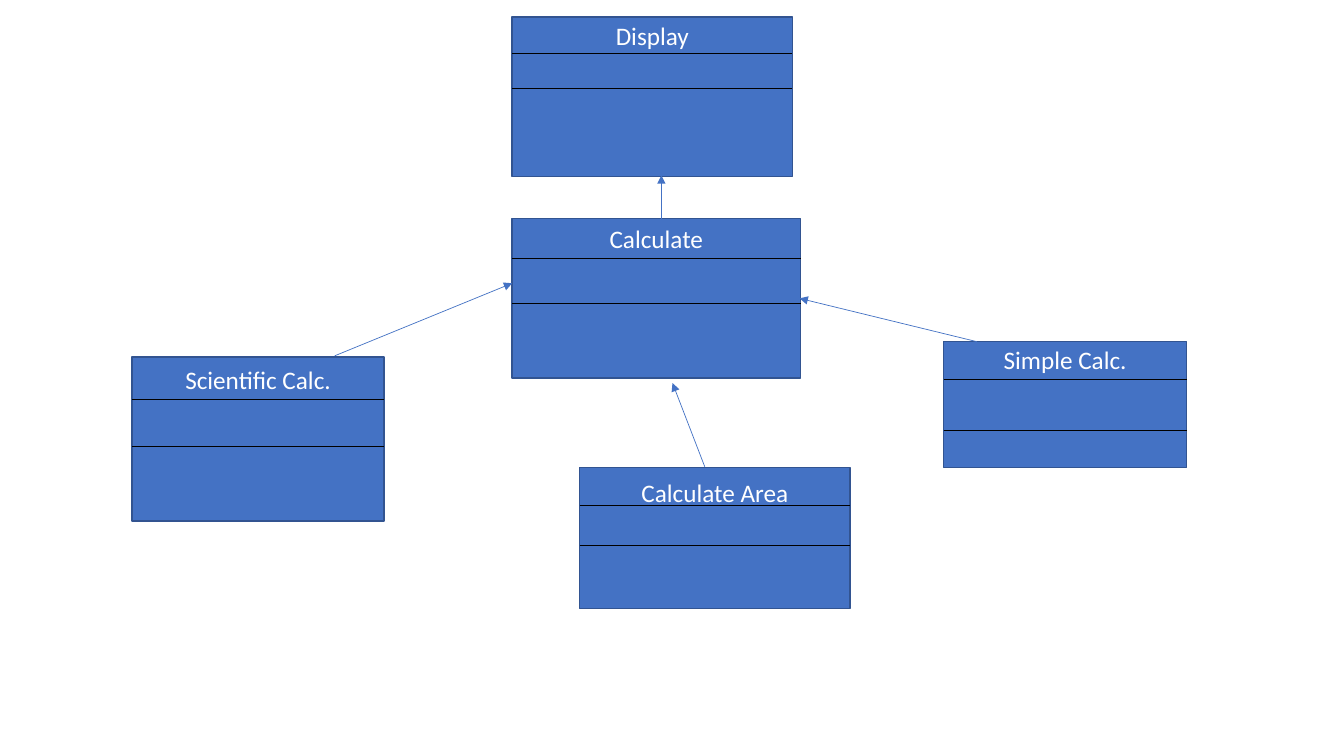
from pptx import Presentation
from pptx.dml.color import RGBColor
from pptx.enum.shapes import MSO_CONNECTOR, MSO_SHAPE
from pptx.enum.text import MSO_ANCHOR, PP_ALIGN
from pptx.oxml.ns import qn
from pptx.util import Inches, Pt
from lxml.etree import SubElement

COLORS = {"fill": "4472C4", "border": "325491", "divider": "000000", "text": "FFFFFF"}

prs = Presentation()
prs.slide_width, prs.slide_height = Inches(13.33), Inches(7.5)
s = prs.slides.add_slide(prs.slide_layouts[6])


def add_line(start, end, color, arrow=False):
    """Draw a thin straight line, with an arrowhead at its end if asked."""
    line = s.shapes.add_connector(
        MSO_CONNECTOR.STRAIGHT, *[Inches(v) for v in (*start, *end)])
    line.line.color.rgb = RGBColor.from_string(COLORS[color])
    line.line.width = Pt(0.5)
    if arrow:
        SubElement(line.line._get_or_add_ln(), qn("a:tailEnd"), type="triangle")
    SubElement(line._element.spPr, qn("a:effectLst"))


def add_class_box(name, left, top, width, height, inset, dividers):
    """Draw a class box: its name at the top and lines between compartments."""
    sp = s.shapes.add_shape(
        MSO_SHAPE.RECTANGLE, *[Inches(v) for v in (left, top, width, height)])
    sp.shadow.inherit = False
    sp.fill.solid()
    sp.fill.fore_color.rgb = RGBColor.from_string(COLORS["fill"])
    sp.line.color.rgb = RGBColor.from_string(COLORS["border"])
    sp.line.width = Pt(1)
    tf = sp.text_frame
    text_format = {"word_wrap": True, "vertical_anchor": MSO_ANCHOR.TOP,
                   "margin_top": Inches(inset)}
    for key, value in text_format.items():
        setattr(tf, key, value)
    p = tf.paragraphs[0]
    p.alignment = PP_ALIGN.CENTER
    r = p.add_run()
    r.text = name
    for key, value in {"name": "Calibri", "size": Pt(18)}.items():
        setattr(r.font, key, value)
    r.font.color.rgb = RGBColor.from_string(COLORS["text"])
    for y in dividers:
        add_line((left, y), (left + width, y), "divider")


# name, left, top, width, height, space above the name, divider heights
classes = [
    ("Display", 5.08, 0.17, 2.78, 1.58, 0.03, (0.53, 0.88)),
    ("Calculate", 5.08, 2.17, 2.86, 1.58, 0.05, (2.56, 3.01)),
    ("Scientific Calc.", 1.31, 3.54, 2.5, 1.63, 0.07, (3.96, 4.43)),
    ("Simple Calc.", 9.36, 3.39, 2.41, 1.25, 0.03, (3.76, 4.27)),
    ("Calculate Area", 5.75, 4.64, 2.68, 1.4, 0.1, (5.01, 5.41)),
]
for box in classes:
    add_class_box(*box)

arrows = [
    ((6.56, 2.17), (6.56, 1.74)),  # Calculate to Display
    ((9.69, 3.39), (7.93, 2.96)),  # Simple Calc. to Calculate
    ((3.32, 3.53), (5.08, 2.81)),  # Scientific Calc. to Calculate
    ((6.99, 4.63), (6.67, 3.8)),   # Calculate Area to Calculate
]
for start, end in arrows:
    add_line(start, end, "fill", arrow=True)

prs.save("out.pptx")
